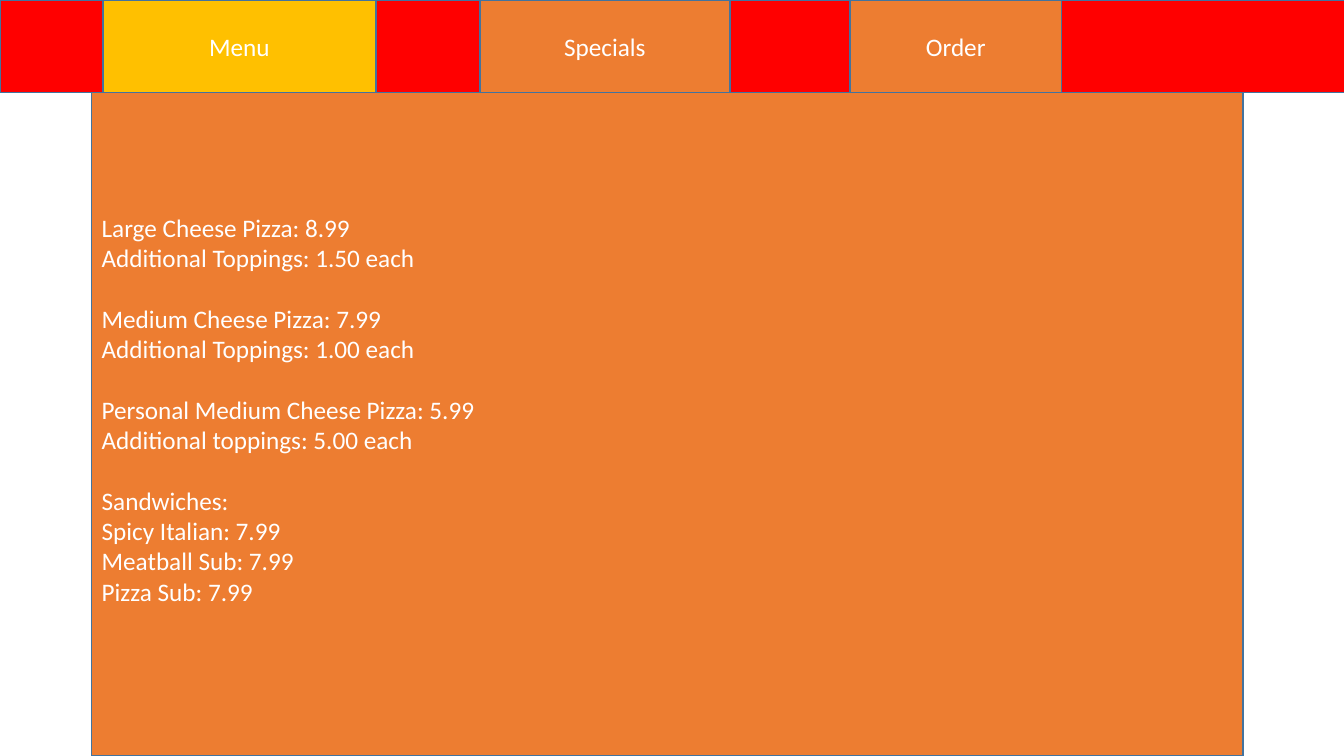
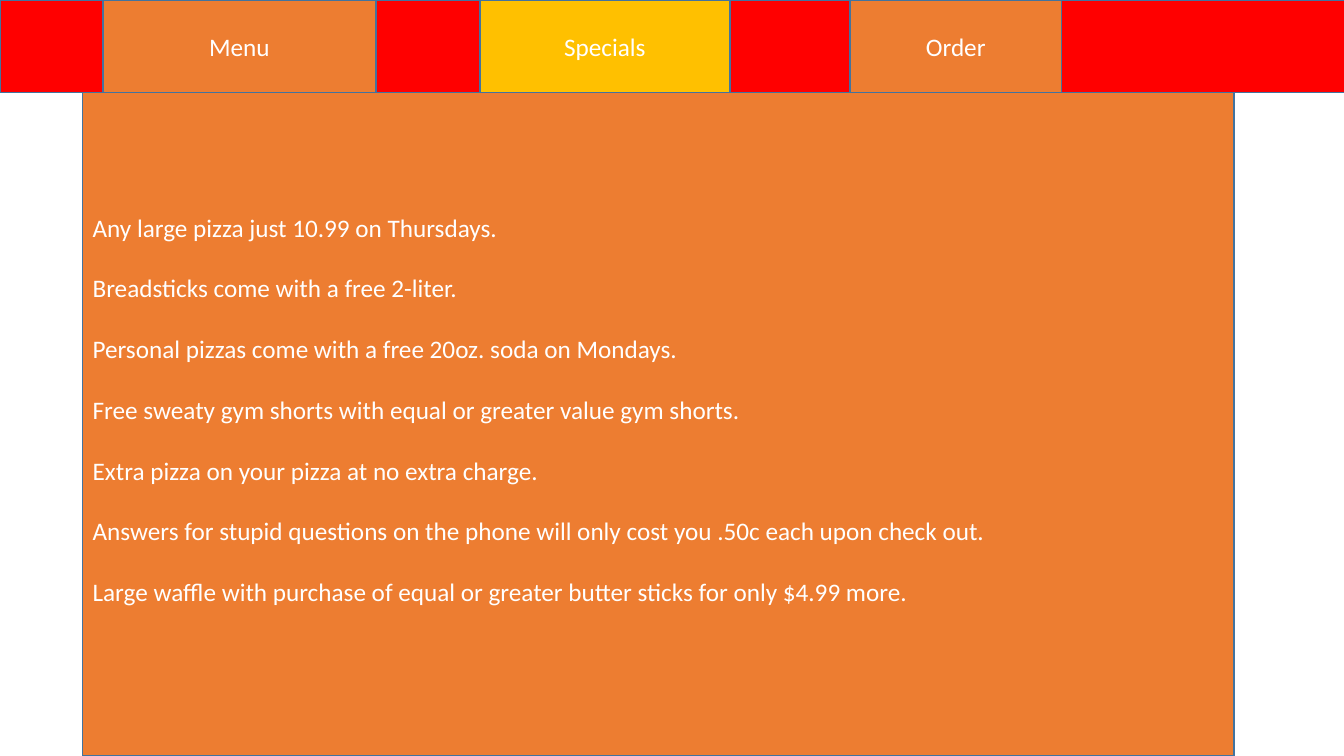
from pptx import Presentation
from pptx.dml.color import RGBColor
from pptx.enum.shapes import MSO_SHAPE
from pptx.enum.text import MSO_ANCHOR, PP_ALIGN
from pptx.util import Inches, Pt

RED = RGBColor(0xFF, 0x00, 0x00)
GOLD = RGBColor(0xFF, 0xC0, 0x00)
ORANGE = RGBColor(0xED, 0x7D, 0x31)
BLUE = RGBColor(0x43, 0x73, 0x9E)
WHITE = RGBColor(0xFF, 0xFF, 0xFF)

BAR = 0.92
TABS = {"Menu": (1.02, 2.71), "Specials": (4.76, 2.48), "Order": (8.43, 2.1)}
FONT = {"name": "Calibri", "size": Pt(18)}
FRAME = {"word_wrap": True, "vertical_anchor": MSO_ANCHOR.MIDDLE}
GAP = Pt(21.8)

MENU = [
    ["Large Cheese Pizza: 8.99", "Additional Toppings: 1.50 each"],
    ["Medium Cheese Pizza: 7.99", "Additional Toppings: 1.00 each"],
    ["Personal Medium Cheese Pizza: 5.99", "Additional toppings: 5.00 each"],
    ["Sandwiches:", "Spicy Italian: 7.99", "Meatball Sub: 7.99", "Pizza Sub: 7.99"],
]
DEALS = [
    ["Any large pizza just 10.99 on Thursdays."],
    ["Breadsticks come with a free 2-liter."],
    ["Personal pizzas come with a free 20oz. soda on Mondays."],
    ["Free sweaty gym shorts with equal or greater value gym shorts."],
    ["Extra pizza on your pizza at no extra charge."],
    ["Answers for stupid questions on the phone will only cost you .50c each upon check out."],
    ["Large waffle with purchase of equal or greater butter sticks for only $4.99 more."],
]


def style(item, values):
    """Set each named value on the item."""
    for name, value in values.items():
        setattr(item, name, value)


class Deck:
    """Hold the shared style and the current slide."""

    def __init__(self):
        """Start a wide deck."""
        self.show = Presentation()
        style(self.show, {"slide_width": Inches(13.33), "slide_height": Inches(7.5)})

    def page(self, label):
        """Add a slide with its top bar and the chosen tab lit."""
        self.slide = self.show.slides.add_slide(self.show.slide_layouts[6])
        self.block(0, 0, 13.41, BAR, RED)
        for name, (left, width) in TABS.items():
            tab = self.block(left, 0, width, BAR, GOLD if name == label else ORANGE)
            self.words(tab, [[name]], PP_ALIGN.CENTER)

    def block(self, left, top, width, height, fill):
        """Draw a filled box with a thin blue edge."""
        place = map(Inches, (left, top, width, height))
        box = self.slide.shapes.add_shape(MSO_SHAPE.RECTANGLE, *place)
        box.shadow.inherit = False
        box.fill.solid()
        box.fill.fore_color.rgb = fill
        box.line.color.rgb = BLUE
        box.line.width = Pt(1)
        return box

    def words(self, box, groups, align):
        """Fill a box with groups of lines, set apart by a gap."""
        frame = box.text_frame
        style(frame, FRAME)
        frame.text = "\n".join(line for group in groups for line in group)
        ends = [line is group[-1] for group in groups for line in group]
        for para, end in zip(frame.paragraphs, ends):
            style(para, {"alignment": align, "space_after": GAP if end else Pt(0)})
            style(para.font, FONT)
            para.font.color.rgb = WHITE
        para.space_after = Pt(0)

    def panel(self, left, groups):
        """Draw the main panel with its text raised by half a line."""
        box = self.block(left, BAR, 11.42, 7.5 - BAR, ORANGE)
        self.words(box, groups, PP_ALIGN.LEFT)
        box.text_frame.margin_bottom = Inches(0.35)


deck = Deck()
for label, left, groups in (("Menu", 0.91, MENU), ("Specials", 0.82, DEALS)):
    deck.page(label)
    deck.panel(left, groups)
deck.show.save("out.pptx")
